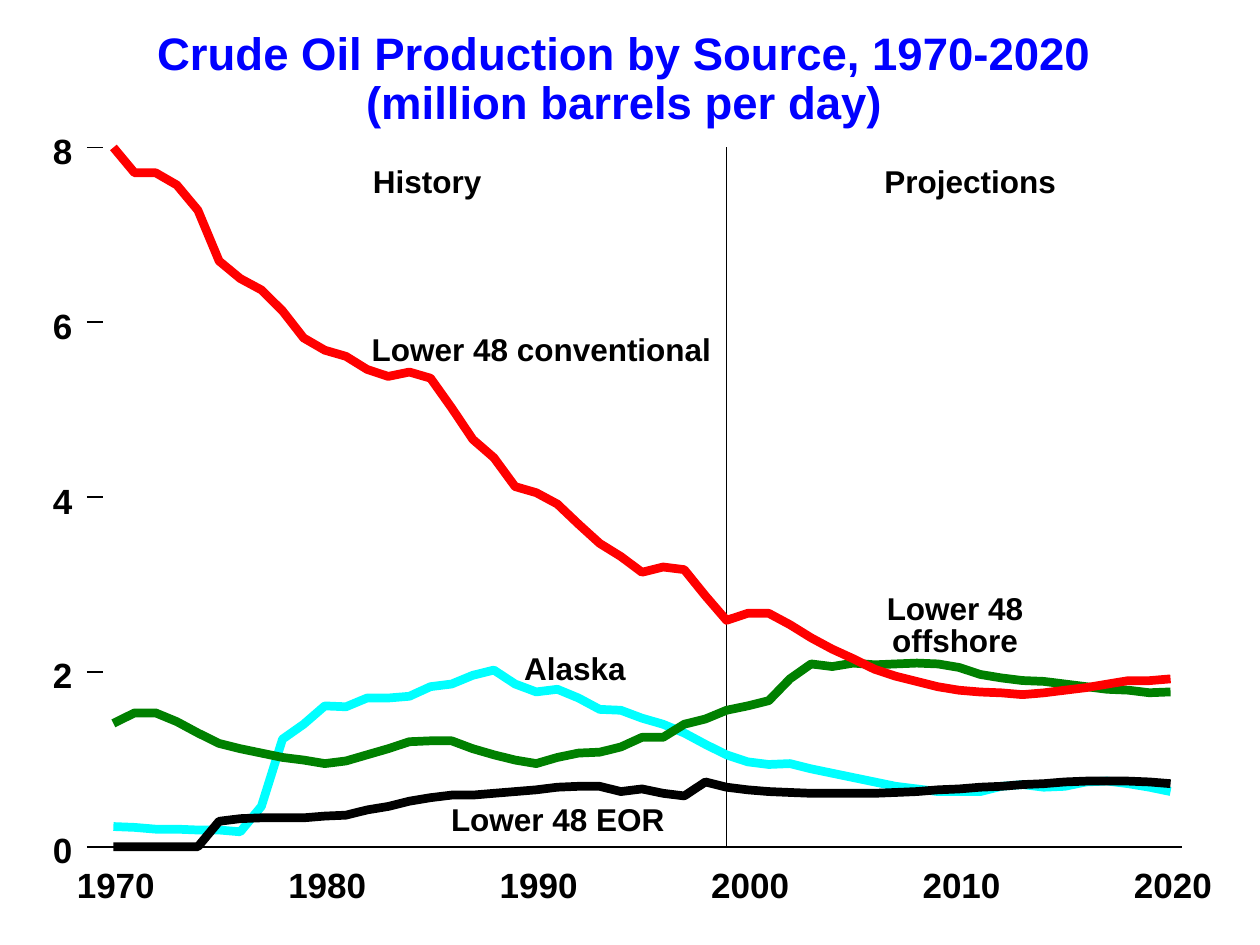
from pptx import Presentation
from pptx.dml.color import RGBColor
from pptx.enum.shapes import MSO_CONNECTOR
from pptx.enum.text import MSO_AUTO_SIZE, PP_ALIGN
from pptx.oxml.ns import qn
from pptx.util import Inches, Pt
from lxml.etree import SubElement


class Theme:
    font = "Arial"
    black = RGBColor(0, 0, 0)
    blue = RGBColor(0, 0, 255)
    cyan = RGBColor(0, 255, 255)
    green = RGBColor(0, 128, 0)
    red = RGBColor(255, 0, 0)
    title, axis, label = Pt(26), Pt(20), Pt(18)
    thin, thick = Pt(1), Pt(5)


deck = Presentation()
deck.slide_width, deck.slide_height = Inches(10), Inches(7.5)
wide, high = deck.slide_width, deck.slide_height
slide = deck.slides.add_slide(deck.slide_layouts[6])
shapes = slide.shapes

# Plot grid: one column per year, one row per million barrels a day
first, last, peak = 1970, 2020, 8
left, base = wide * 0.09, high * 0.896
col = wide * 0.839 / (last - first)
row = high * 0.74 / peak


def add_rule(x1, y1, x2, y2):
    rule = shapes.add_connector(
        MSO_CONNECTOR.STRAIGHT, int(x1), int(y1), int(x2), int(y2))
    rule.line.color.rgb = Theme.black
    rule.line.width = Theme.thin
    SubElement(rule._element.spPr, qn("a:effectLst"))


def add_text(text, x, y, w, h, size, color=Theme.black, align=PP_ALIGN.LEFT, space=None):
    box = shapes.add_textbox(int(x), int(y), int(w), int(h))
    frame = box.text_frame
    frame.text = text
    frame.word_wrap = False
    frame.auto_size = MSO_AUTO_SIZE.SHAPE_TO_FIT_TEXT
    frame.margin_left = frame.margin_right = 0
    frame.margin_top = frame.margin_bottom = 0
    for para in frame.paragraphs:
        para.alignment = align
        para.line_spacing = space
        for run in para.runs:
            run.font.name = Theme.font
            run.font.size = size
            run.font.bold = True
            run.font.color.rgb = color


# Divider between history and projections
split = left + (1999 - first) * col
add_rule(split, base - peak * row, split, base)

# Yearly output of each source, back to front
alaska = [
    0.23, 0.22, 0.20, 0.20, 0.19, 0.19, 0.17, 0.46, 1.23, 1.40,
    1.61, 1.60, 1.70, 1.70, 1.72, 1.83, 1.86, 1.96, 2.02, 1.86,
    1.77, 1.80, 1.70, 1.57, 1.56, 1.47, 1.40, 1.30, 1.17, 1.05,
    0.97, 0.94, 0.95, 0.89, 0.84, 0.79, 0.74, 0.69, 0.66, 0.63,
    0.63, 0.63, 0.69, 0.71, 0.68, 0.69, 0.74, 0.75, 0.72, 0.68, 0.63]
eor = [
    0, 0, 0, 0, 0, 0.29, 0.32, 0.33, 0.33, 0.33,
    0.35, 0.36, 0.42, 0.46, 0.52, 0.56, 0.59, 0.59, 0.61, 0.63,
    0.65, 0.68, 0.69, 0.69, 0.63, 0.66, 0.61, 0.58, 0.74, 0.68,
    0.65, 0.63, 0.62, 0.61, 0.61, 0.61, 0.61, 0.62, 0.63, 0.65,
    0.66, 0.68, 0.69, 0.71, 0.72, 0.74, 0.75, 0.75, 0.75, 0.74, 0.72]
offshore = [
    1.41, 1.53, 1.53, 1.43, 1.30, 1.18, 1.12, 1.07, 1.02, 0.99,
    0.95, 0.98, 1.05, 1.12, 1.20, 1.21, 1.21, 1.12, 1.05, 0.99,
    0.95, 1.02, 1.07, 1.08, 1.14, 1.25, 1.25, 1.40, 1.46, 1.56,
    1.61, 1.67, 1.92, 2.09, 2.06, 2.10, 2.08, 2.09, 2.10, 2.09,
    2.05, 1.97, 1.93, 1.90, 1.89, 1.86, 1.83, 1.80, 1.79, 1.76, 1.77]
onshore = [
    8.00, 7.71, 7.71, 7.57, 7.28, 6.70, 6.50, 6.37, 6.13, 5.82,
    5.68, 5.61, 5.46, 5.38, 5.43, 5.36, 5.02, 4.66, 4.45, 4.12,
    4.05, 3.92, 3.69, 3.47, 3.32, 3.14, 3.20, 3.17, 2.87, 2.59,
    2.67, 2.67, 2.54, 2.39, 2.26, 2.15, 2.03, 1.95, 1.89, 1.83,
    1.79, 1.77, 1.76, 1.74, 1.76, 1.79, 1.82, 1.86, 1.90, 1.90, 1.92]

for series, color in [(alaska, Theme.cyan), (eor, Theme.black),
                      (offshore, Theme.green), (onshore, Theme.red)]:
    points = [(int(left + i * col), int(base - v * row))
              for i, v in enumerate(series)]
    pen = shapes.build_freeform(*points[0])
    pen.add_line_segments(points[1:], close=False)
    curve = pen.convert_to_shape()
    curve.shadow.inherit = False
    curve.fill.background()
    curve.line.color.rgb = color
    curve.line.width = Theme.thick

# Axes: ticks and numbers on the left, years along the bottom
tick, edge = wide * 0.069, wide * 0.082
for value in range(0, peak + 1, 2):
    y = base - value * row
    add_rule(tick, y, edge, y)
    add_text(str(value), wide * 0.042, y - high * 0.019,
             wide * 0.016, high * 0.044, Theme.axis)
add_rule(edge, base, wide * 0.938, base)
for year in range(first, last + 1, 10):
    add_text(str(year), left + (year - first) * col - wide * 0.029,
             high * 0.914, wide * 0.064, high * 0.044, Theme.axis)

# Labels of the two periods and the curves, in shares of the slide
for text, x, y, w in [
        ("History", 0.296, 0.171, 0.09),
        ("Projections", 0.702, 0.171, 0.14),
        ("Lower 48 EOR", 0.358, 0.847, 0.174),
        ("Alaska", 0.416, 0.687, 0.085),
        ("Lower 48 conventional", 0.295, 0.349, 0.274)]:
    add_text(text, wide * x, high * y, wide * w, high * 0.04, Theme.label)
add_text("Lower 48\noffshore", wide * 0.702, high * 0.629, wide * 0.112,
         high * 0.068, Theme.label, align=PP_ALIGN.CENTER, space=0.85)

# Title
add_text("Crude Oil Production by Source, 1970-2020\n(million barrels per day)",
         wide * 0.123, high * 0.033, wide * 0.745, high * 0.104,
         Theme.title, Theme.blue, PP_ALIGN.CENTER, 0.9)

deck.save("out.pptx")
